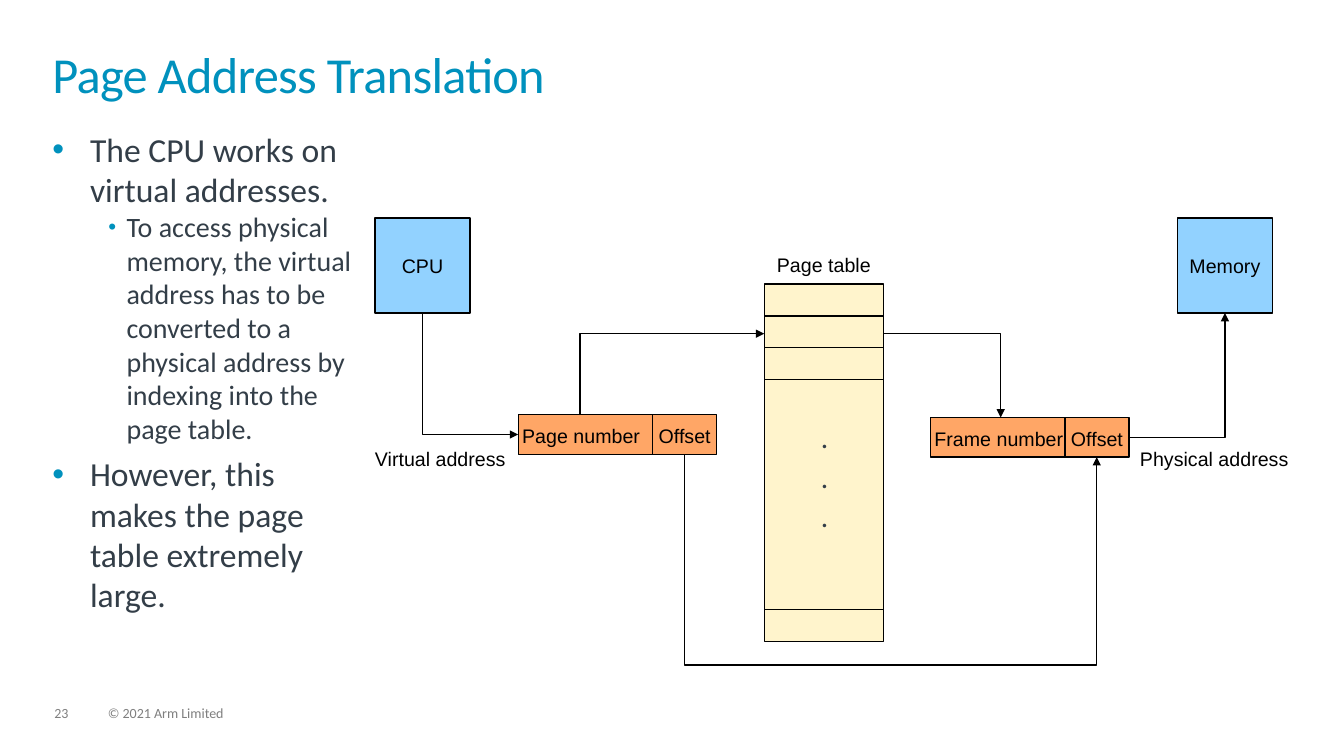
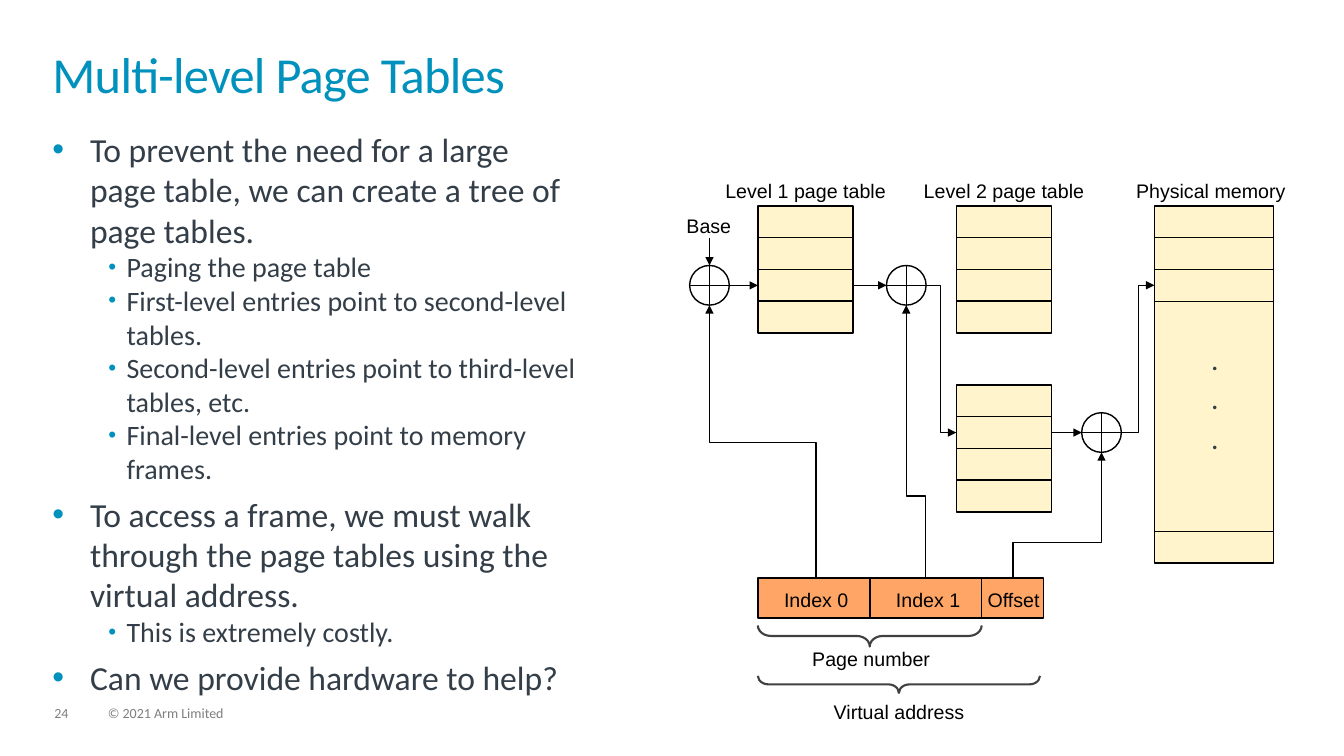
from lxml.etree import SubElement
from pptx import Presentation
from pptx.dml.color import RGBColor
from pptx.enum.shapes import MSO_CONNECTOR as Connector, MSO_SHAPE as Preset
from pptx.enum.text import MSO_ANCHOR as Anchor, MSO_AUTO_SIZE as AutoSize, PP_ALIGN as Align
from pptx.oxml.ns import qn
from pptx.util import Cm, Pt

COLORS = {
    "title": "0091BD", "body": "333E48", "footer": "7F7F7F", "black": "000000",
    "brace": "404040", "unit": "92D2FF", "table": "FFF4CC", "address": "FFA666",
}
TITLE_ONLY = 5
LEFT_MARGIN = 1.32
ROW_HEIGHT = 0.8
TABLE_WIDTH = 2.4
MEMORY_WIDTH, MEMORY_HEIGHT = 3, 9
UNIT_SIZE = 2.4
BAR_HEIGHT = 1
ADDER_RADIUS = 0.5

# Bullet levels: size, left margin, hanging indent, space before, bullet size
LEVELS = [
    dict(size=24, margin=0.95, hang=0.95, before=6, bullet_size=100),
    dict(size=20, margin=1.87, hang=0.46, before=0, bullet_size=80),
]


def rgb(name):
    return RGBColor.from_string(COLORS[name])


# Text

def write(paragraph, text, size=14, font="Arial", color="black", align=Align.LEFT,
          line_spacing=None, tracking=None):
    paragraph.alignment = align
    if line_spacing:
        paragraph.line_spacing = line_spacing
    run = paragraph.add_run()
    run.text = text
    run.font.size = Pt(size)
    run.font.name = font
    run.font.color.rgb = rgb(color)
    if tracking:
        run.font._element.set("spc", str(tracking))


def set_frame(text_frame, wrap=True, anchor=Anchor.TOP):
    text_frame.margin_left = text_frame.margin_right = 0
    text_frame.margin_top = text_frame.margin_bottom = 0
    text_frame.auto_size = AutoSize.NONE
    text_frame.word_wrap = wrap
    text_frame.vertical_anchor = anchor


def add_text_box(slide, left, top, width, height, wrap=True):
    box = slide.shapes.add_textbox(Cm(left), Cm(top), Cm(width), Cm(height))
    set_frame(box.text_frame, wrap)
    return box.text_frame


def add_label(slide, text, left, top, width, height=0.53, **text_format):
    frame = add_text_box(slide, left, top, width, height, wrap=False)
    write(frame.paragraphs[0], text, line_spacing=0.9, **text_format)


def add_bullets(slide, width, items):
    frame = add_text_box(slide, LEFT_MARGIN, 3.25, width, 13.74)
    for number, (level, text) in enumerate(items):
        paragraph = frame.add_paragraph() if number else frame.paragraphs[0]
        style = LEVELS[level]
        paragraph.level = level
        paragraph.space_before = Pt(style["before"] if number else 0)
        properties = paragraph._p.get_or_add_pPr()
        properties.set("marL", str(Cm(style["margin"])))
        properties.set("indent", str(-Cm(style["hang"])))
        bullet_color = SubElement(properties, qn("a:buClr"))
        SubElement(bullet_color, qn("a:srgbClr"), val=COLORS["title"])
        SubElement(properties, qn("a:buSzPct"), val=str(style["bullet_size"] * 1000))
        SubElement(properties, qn("a:buFont"), typeface="Arial")
        SubElement(properties, qn("a:buChar"), char="•")
        write(paragraph, text, size=style["size"], font="Calibri", color="body")


def add_slide(presentation, title, number):
    slide = presentation.slides.add_slide(presentation.slide_layouts[TITLE_ONLY])
    shape = slide.shapes.title
    shape.left, shape.top = Cm(LEFT_MARGIN), Cm(1.32)
    shape.width, shape.height = Cm(31.19), Cm(1.83)
    set_frame(shape.text_frame)
    write(shape.text_frame.paragraphs[0], title, size=36, font="Calibri",
          color="title", line_spacing=0.85, tracking=-50)
    # Footer
    for text, left, width in ((number, 1.37, 0.86), ("© 2021 Arm Limited", 2.72, 12.88)):
        add_label(slide, text, left, 17.8, width, 0.38,
                  size=10, font="Calibri", color="footer")
    return slide


# Shapes and lines

def add_shape(slide, preset, left, top, width, height, fill=None, line="black", weight=1):
    shape = slide.shapes.add_shape(preset, Cm(left), Cm(top), Cm(width), Cm(height))
    shape.shadow.inherit = False
    if fill:
        shape.fill.solid()
        shape.fill.fore_color.rgb = rgb(fill)
    else:
        shape.fill.background()
    shape.line.color.rgb = rgb(line)
    shape.line.width = Pt(weight)
    return shape


def add_line(slide, start, end, arrow=False, kind=Connector.STRAIGHT):
    connector = slide.shapes.add_connector(kind, *(Cm(value) for value in (*start, *end)))
    connector.line.color.rgb = rgb("black")
    connector.line.width = Pt(1)
    properties = connector.element.spPr
    if arrow:
        SubElement(properties.find(qn("a:ln")), qn("a:tailEnd"), type="triangle")
    SubElement(properties, qn("a:effectLst"))
    return connector


def add_elbow(slide, start, end, vertical=False, bend_at=None):
    """Bent arrow; vertical sets its first leg, bend_at the middle leg's place.

    Without bend_at the arrow has a single corner.
    """
    connector = add_line(slide, start, end, arrow=True, kind=Connector.ELBOW)
    properties = connector.element.spPr
    if vertical:
        (x1, y1), (x2, y2) = start, end
        width, height = abs(y2 - y1), abs(x2 - x1)
        connector.left = Cm((x1 + x2 - width) / 2)
        connector.top = Cm((y1 + y2 - height) / 2)
        connector.width, connector.height = Cm(width), Cm(height)
        transform = properties.find(qn("a:xfrm"))
        transform.set("rot", "5400000")
        transform.set("flipH", str(int(y2 < y1)))
        transform.set("flipV", str(int(x2 > x1)))
    geometry = properties.find(qn("a:prstGeom"))
    if bend_at is None:
        geometry.set("prst", "bentConnector2")
        return
    axis = int(vertical)
    share = (bend_at - start[axis]) / (end[axis] - start[axis])
    guides = geometry.find(qn("a:avLst"))
    if guides is None:
        guides = SubElement(geometry, qn("a:avLst"))
    SubElement(guides, qn("a:gd"), name="adj1", fmla=f"val {round(share * 100000)}")


# Diagram parts

def add_unit(slide, text, left, top):
    shape = add_shape(slide, Preset.RECTANGLE, left, top, UNIT_SIZE, UNIT_SIZE, "unit")
    set_frame(shape.text_frame, anchor=Anchor.MIDDLE)
    write(shape.text_frame.paragraphs[0], text, align=Align.CENTER)


def add_tall_table(slide, left, top):
    add_shape(slide, Preset.RECTANGLE, left, top, MEMORY_WIDTH, MEMORY_HEIGHT, "table")
    row_lines = [ROW_HEIGHT * row for row in (1, 2, 3)] + [MEMORY_HEIGHT - ROW_HEIGHT]
    for offset in row_lines:
        add_line(slide, (left, top + offset), (left + MEMORY_WIDTH, top + offset))
    for step in range(3):
        add_label(slide, ".", left + 1.43, top + 3.5 + step, 0.18, 0.81,
                  size=21, font="Calibri", color="body")


def add_page_table(slide, left, top):
    return [add_shape(slide, Preset.RECTANGLE, left, top + row * ROW_HEIGHT,
                      TABLE_WIDTH, ROW_HEIGHT, "table") for row in range(4)]


def add_address_bar(slide, left, top, width, dividers, fields):
    add_shape(slide, Preset.RECTANGLE, left, top, width, BAR_HEIGHT, "address")
    for offset in dividers:
        add_line(slide, (left + offset, top), (left + offset, top + BAR_HEIGHT))
    for text, offset, text_width in fields:
        add_label(slide, text, left + offset, top + 0.3, text_width)


def add_adder(slide, x, y):
    radius = ADDER_RADIUS
    add_shape(slide, Preset.OVAL, x - radius, y - radius, 2 * radius, 2 * radius)
    add_line(slide, (x, y - radius), (x, y + radius))
    add_line(slide, (x - radius, y), (x + radius, y))


def add_brace(slide, left, top, span, depth):
    brace = add_shape(slide, Preset.LEFT_BRACE, left + (span - depth) / 2,
                      top - (span - depth) / 2, depth, span, line="brace", weight=1.5)
    brace.rotation = 270
    brace.adjustments[0] = 0.62


# Slides

def build_translation(presentation):
    slide = add_slide(presentation, "Page Address Translation", "23")
    add_bullets(slide, 7.77, [
        (0, "The CPU works on virtual addresses."),
        (1, "To access physical memory, the virtual address has to be converted to a "
            "physical address by indexing into the page table."),
        (0, "However, this makes the page table extremely large."),
    ])
    add_unit(slide, "CPU", 9.45, 5.49)
    add_unit(slide, "Memory", 29.67, 5.49)
    add_tall_table(slide, 19.26, 7.16)
    for name, name_width, left, top in (("Page number", 2.97, 13.06, 10.45),
                                        ("Frame number", 3.25, 23.45, 10.52)):
        add_address_bar(slide, left, top, 5, [3.39],
                        [(name, 0.1, name_width), ("Offset", 3.54, 1.32)])
    add_label(slide, "Page table", 19.58, 6.45, 2.39)
    add_label(slide, "Virtual address", 9.45, 11.33, 3.3)
    add_label(slide, "Physical address", 28.73, 11.33, 3.76)
    # Address flow
    add_elbow(slide, (10.65, 7.89), (13.06, 10.95), vertical=True)
    add_elbow(slide, (14.62, 10.45), (19.26, 8.41), vertical=True)
    add_elbow(slide, (22.26, 8.41), (25.22, 10.52))
    add_elbow(slide, (17.25, 11.45), (27.64, 11.52), vertical=True, bend_at=16.76)
    add_elbow(slide, (28.45, 11.02), (30.87, 7.89))


def build_multi_level(presentation):
    slide = add_slide(presentation, "Multi-level Page Tables", "24")
    add_bullets(slide, 13.26, [
        (0, "To prevent the need for a large page table, we can create a tree of page tables."),
        (1, "Paging the page table"),
        (1, "First-level entries point to second-level tables."),
        (1, "Second-level entries point to third-level tables, etc."),
        (1, "Final-level entries point to memory frames."),
        (0, "To access a frame, we must walk through the page tables using the virtual address."),
        (1, "This is extremely costly."),
        (0, "Can we provide hardware to help?"),
    ])
    # Tables and memory
    table_top, bar_left, bar_top = 5.19, 19.1, 14.57
    level_1 = add_page_table(slide, bar_left, table_top)
    add_page_table(slide, 24.1, table_top)
    level_2 = add_page_table(slide, 24.1, 9.7)
    add_tall_table(slide, 29.09, table_top)
    for text, left, width in (("Level 1 page table", 18.28, 4.06),
                              ("Level 2 page table", 23.28, 4.06),
                              ("Physical memory", 28.63, 3.78)):
        add_label(slide, text, left, 4.57, width)
    add_label(slide, "Base", 17.3, 5.46, 1.14)
    # Virtual address
    add_address_bar(slide, bar_left, bar_top, 7.2, [2.82, 5.64],
                    [("Index 0", 0.66, 1.63), ("Index 1", 3.48, 1.63), ("Offset", 5.79, 1.32)])
    add_brace(slide, bar_left, 15.76, 5.64, 0.53)
    add_label(slide, "Page number", 20.47, 16.38, 2.97)
    add_brace(slide, bar_left, 17.03, 7.11, 0.43)
    add_label(slide, "Virtual address", 21.01, 17.7, 3.3)
    # Adders
    upper_y, lower_y = 7.19, 10.9
    base_x, middle_x, last_x = 17.88, 22.84, 27.76
    for center in ((base_x, upper_y), (middle_x, upper_y), (last_x, lower_y)):
        add_adder(slide, *center)
    # Straight arrows
    radius = ADDER_RADIUS
    add_line(slide, (base_x, 5.99), (base_x, upper_y - radius), arrow=True)
    add_line(slide, (base_x + radius, upper_y), (bar_left, upper_y),
             arrow=True).end_connect(level_1[2], 1)
    add_line(slide, (21.5, upper_y), (middle_x - radius, upper_y),
             arrow=True).begin_connect(level_1[2], 3)
    add_line(slide, (26.5, lower_y), (last_x - radius, lower_y),
             arrow=True).begin_connect(level_2[1], 3)
    # Bent arrows
    for start_x, end, bend in ((20.57, (base_x, upper_y + radius), 11.15),
                               (23.32, (middle_x, upper_y + radius), 12.5),
                               (25.53, (last_x, lower_y + radius), 13.67)):
        add_elbow(slide, (start_x, bar_top), end, vertical=True, bend_at=bend)
    add_elbow(slide, (middle_x + radius, upper_y), (24.1, lower_y), bend_at=23.7)
    add_elbow(slide, (last_x + radius, lower_y), (29.09, upper_y), bend_at=28.7)


def main():
    presentation = Presentation()
    presentation.slide_width, presentation.slide_height = Cm(33.87), Cm(19.05)
    build_translation(presentation)
    build_multi_level(presentation)
    presentation.save("out.pptx")


if __name__ == "__main__":
    main()
